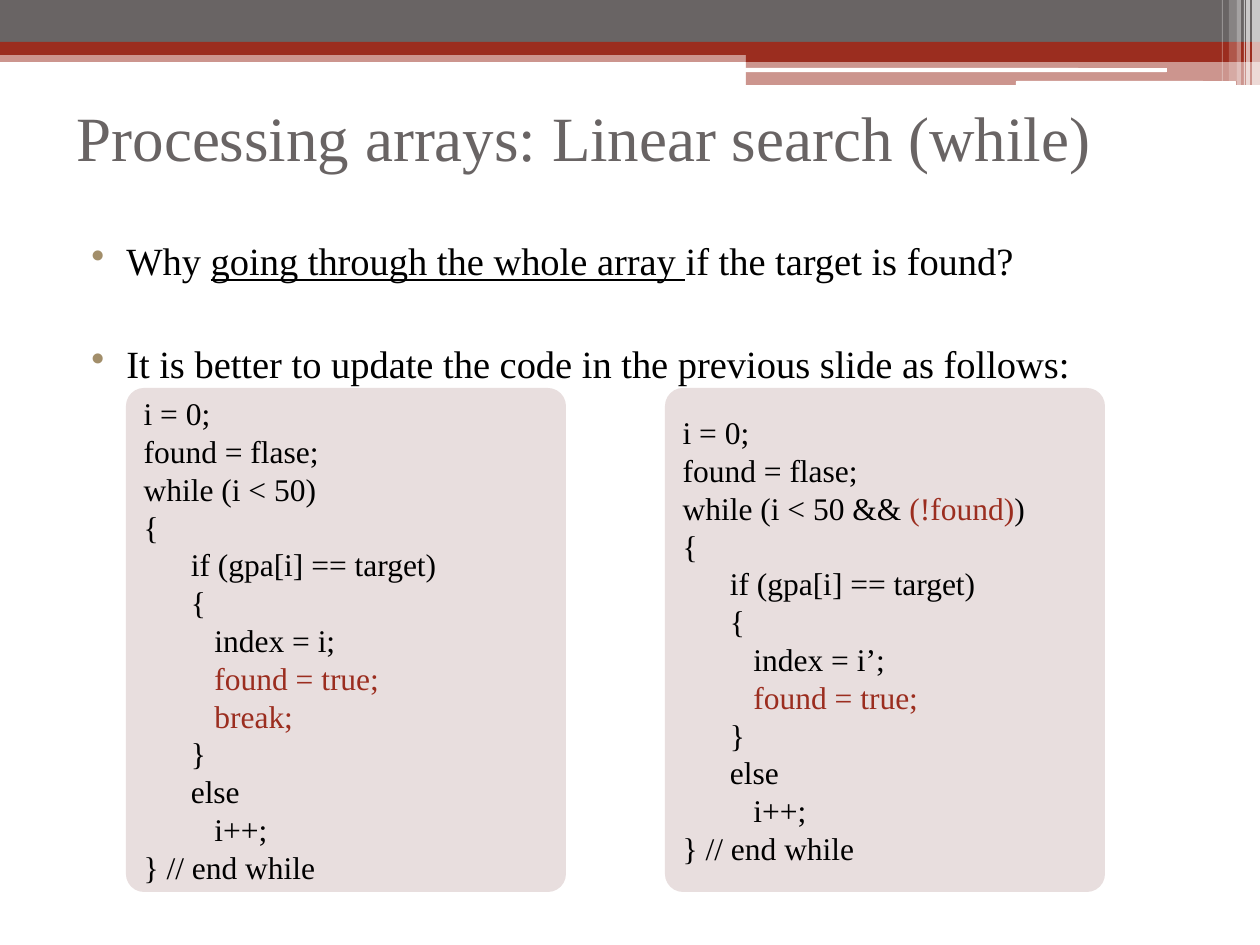
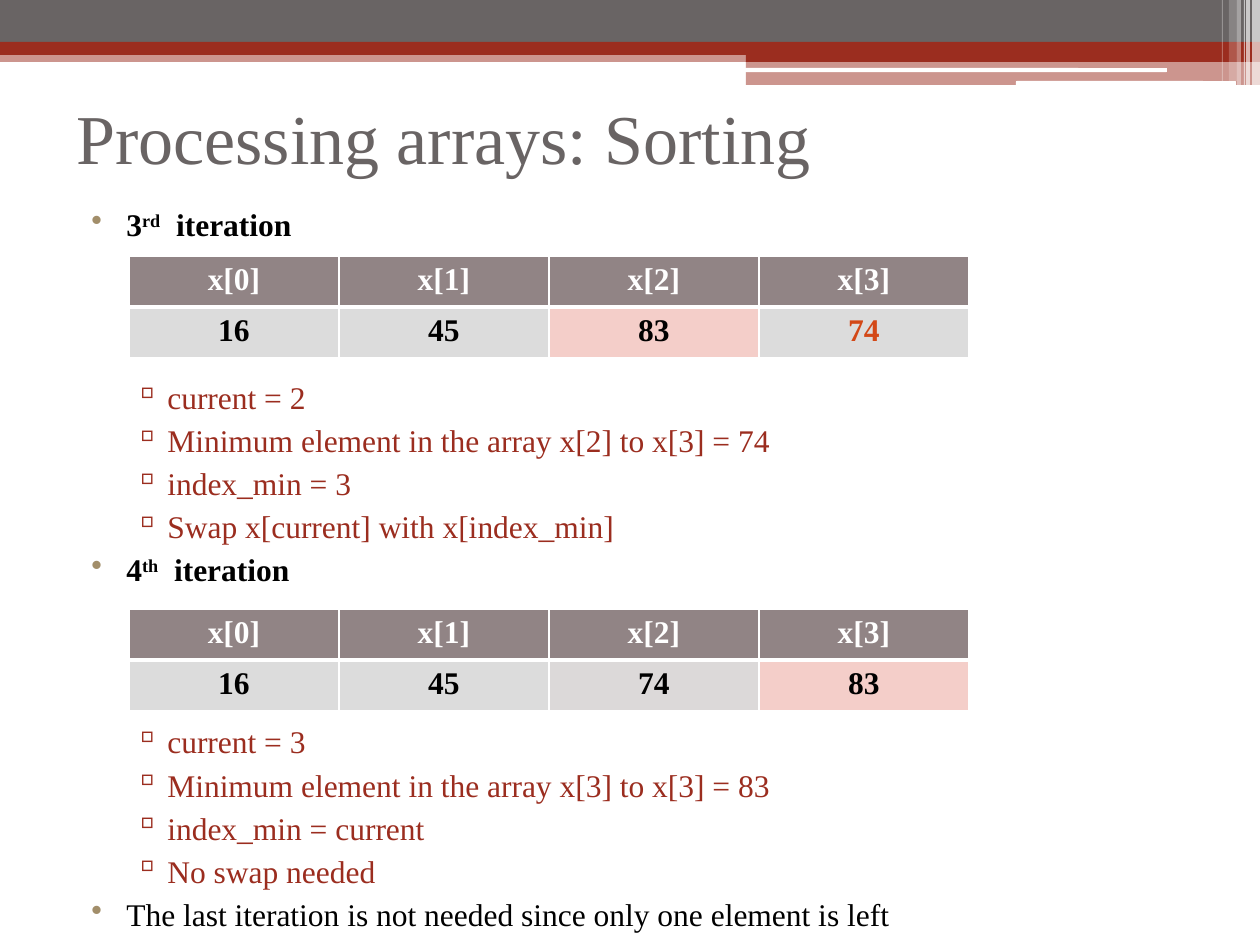
from lxml import etree
from pptx import Presentation
from pptx.dml.color import RGBColor
from pptx.enum.shapes import MSO_SHAPE
from pptx.enum.text import MSO_ANCHOR, MSO_AUTO_SIZE, PP_ALIGN
from pptx.oxml.ns import qn
from pptx.util import Pt

RECT, ROUNDED = MSO_SHAPE.RECTANGLE, MSO_SHAPE.ROUNDED_RECTANGLE
LEFT, CENTER = PP_ALIGN.LEFT, PP_ALIGN.CENTER
MIDDLE, NO_FIT = MSO_ANCHOR.MIDDLE, MSO_AUTO_SIZE.NONE
TITLE_ONLY = 5
SCALE = 914400 / 126
FONT = "Times New Roman"
COLORS = {
    "red": "9B2D1F", "gray": "696464", "white": "FFFFFF", "black": "000000",
    "tan": "A28E6A", "code": "E8DEDE", "header": "918485", "cell": "DCDCDC",
    "cell_warm": "DCD9D9", "current": "F4CEC9", "minimum": "D34817",
}

BANDS = [
    (RECT, 0, 50, 1260, 12, "red", 50),
    (RECT, 0, 0, 1260, 43, "gray", 100),
    (RECT, 0, 42, 1260, 13, "red", 100),
    (RECT, 746, 49, 514, 13, "red", 100),
    (RECT, 746, 61, 514, 24, "red", 50),
    (ROUNDED, 745, 68, 422, 4, "white", 100),
    (ROUNDED, 1016, 81, 220, 5, "white", 100),
    (RECT, 1252, 0, 8, 85, "white", 65),
    (RECT, 1246, 0, 4, 85, "white", 65),
    (RECT, 1244, 0, 1, 85, "white", 60),
    (RECT, 1237, 0, 4, 85, "white", 40),
    (RECT, 1229, 0, 8, 81, "white", 20),
    (RECT, 1222, 0, 1, 81, "white", 30),
]
BULLETS = {0: ("•", "tan", 50, -35), 1: ("▫", "red", 91, -34)}

CODE_START = ["i = 0;", "found = flase;"]
CODE_TEST = ["{", "      if (gpa[i] == target)", "      {"]
CODE_END = ["      }", "      else", "         i++;", "} // end while"]
FOUND = [("         found = true;", "red")]
BREAK_CODE = [
    *CODE_START, "while (i < 50)", *CODE_TEST, "         index = i;", FOUND,
    [("         break;", "red")], *CODE_END,
]
FLAG_CODE = [
    *CODE_START, [("while (i < 50 && ", ""), ("(!found)", "red"), (")", "")],
    *CODE_TEST, "         index = i’;", FOUND, *CODE_END,
]


def px(length):
    return round(length * SCALE)


def place(box):
    return [px(length) for length in box]


def rgb(name):
    return RGBColor.from_string(COLORS[name])


def set_font(font, size, color, bold=False):
    font.name, font.size, font.bold = FONT, Pt(size), bold
    font.color.rgb = rgb(color)


def write(para, content, size, color="black", bold=False, align=LEFT):
    para.alignment = align
    set_font(para.font, size, color, bold)
    pieces = [(content, "")] if isinstance(content, str) else content
    for text, look in pieces:
        span = para.add_run()
        span.text = text
        if look == "red":
            span.font.color.rgb = rgb("red")
        elif look == "underline":
            span.font.underline = True
        elif look == "super":
            span._r.get_or_add_rPr().set("baseline", "30000")


def add_block(page, kind, box, color, opacity=100, corner=0.167):
    block = page.shapes.add_shape(kind, *place(box))
    block.shadow.inherit = False
    block.fill.solid()
    block.fill.fore_color.rgb = rgb(color)
    block.line.fill.background()
    if kind == ROUNDED:
        block.adjustments[0] = corner
    if opacity < 100:
        paint = block.element.spPr.find(".//" + qn("a:srgbClr"))
        etree.SubElement(paint, qn("a:alpha"), val=str(opacity * 1000))
    return block


def add_page(deck, title, size):
    page = deck.slides.add_slide(deck.slide_layouts[TITLE_ONLY])
    for kind, left, top, width, height, color, opacity in BANDS:
        add_block(page, kind, (left, top, width, height), color, opacity)
    heading = page.shapes.title
    heading.left, heading.top, heading.width, heading.height = place((64, 63, 1134, 147))
    frame = heading.text_frame
    frame.auto_size, frame.vertical_anchor = NO_FIT, MIDDLE
    write(frame.paragraphs[0], title, size, "gray")
    return page


def set_bullet(para, level):
    mark, color, margin, indent = BULLETS[level]
    props = para._p.get_or_add_pPr()
    props.set("marL", str(px(margin)))
    props.set("indent", str(px(indent)))
    paint = etree.SubElement(props, qn("a:buClr"))
    etree.SubElement(paint, qn("a:srgbClr"), val=COLORS[color])
    etree.SubElement(props, qn("a:buChar"), char=mark)


def add_bullets(page, box, items, size):
    frame = page.shapes.add_textbox(*place(box)).text_frame
    frame.word_wrap = True
    for index, (level, content, gap, bold) in enumerate(items):
        para = frame.add_paragraph() if index else frame.paragraphs[0]
        para.level = level
        set_bullet(para, level)
        if index:
            para.space_before = Pt(gap)
        write(para, content, size, "red" if level else "black", bold)


def add_code(page, box, lines):
    frame = add_block(page, ROUNDED, box, "code", corner=0.041).text_frame
    frame.word_wrap, frame.vertical_anchor = True, MIDDLE
    for index, line in enumerate(lines):
        para = frame.add_paragraph() if index else frame.paragraphs[0]
        write(para, line, 18)


def set_borders(cell, top, bottom):
    props = cell._tc.get_or_add_tcPr()
    for side, width in (("L", 1), ("R", 1), ("T", top), ("B", bottom)):
        line = etree.SubElement(props, qn("a:ln" + side), w=str(Pt(width)))
        fill = etree.SubElement(line, qn("a:solidFill"))
        etree.SubElement(fill, qn("a:srgbClr"), val=COLORS["white"])


def add_array(page, box, values):
    table = page.shapes.add_table(2, len(values), *place(box)).table
    table.horz_banding = False
    for column, (value, fill, color) in enumerate(values):
        cells = [(f"x[{column}]", "header", "white", 1, 3), (value, fill, color, 3, 1)]
        for row, (text, back, ink, top, bottom) in enumerate(cells):
            cell = table.cell(row, column)
            set_borders(cell, top, bottom)
            cell.fill.solid()
            cell.fill.fore_color.rgb = rgb(back)
            write(cell.text_frame.paragraphs[0], text, 18, ink, True, CENTER)


def iteration(number, suffix, steps):
    heading = [(number, ""), (suffix, "super"), ("  iteration", "")]
    return [(0, heading, 3, True)] + [
        (1, step, 3 if index else 77, False) for index, step in enumerate(steps)
    ]


def build_search(deck):
    page = add_page(deck, "Processing arrays: Linear search (while)", 36)
    question = [
        ("Why ", ""), ("going through the whole array ", "underline"),
        ("if the target is found?", ""),
    ]
    advice = "It is better to update the code in the previous slide as follows:"
    add_bullets(page, (64, 231, 1134, 651),
                [(0, question, 0, False), (0, advice, 32.5, False)], 22)
    for left, lines in ((126, BREAK_CODE), (665, FLAG_CODE)):
        add_code(page, (left, 388, 440, 504), lines)


def build_sorting(deck):
    page = add_page(deck, "Processing arrays: Sorting", 40)
    third = iteration("3", "rd", [
        "current = 2", "Minimum element in the array x[2] to x[3] = 74",
        "index_min = 3", "Swap x[current] with x[index_min]",
    ])
    fourth = iteration("4", "th", [
        "current = 3", "Minimum element in the array x[3] to x[3] = 83",
        "index_min = current", "No swap needed",
    ])
    closing = (0, "The last iteration is not needed since only one element is left", 3, False)
    add_bullets(page, (64, 199, 1134, 683), third + fourth + [closing], 18)
    sorted_part = [("16", "cell", "black"), ("45", "cell", "black")]
    arrays = [
        (256, [("83", "current", "black"), ("74", "cell", "minimum")]),
        (609, [("74", "cell_warm", "black"), ("83", "current", "black")]),
    ]
    for top, rest in arrays:
        add_array(page, (129, top, 840, 102), sorted_part + rest)


def main():
    deck = Presentation()
    deck.slide_width, deck.slide_height = px(1260), px(945)
    build_search(deck)
    build_sorting(deck)
    deck.save("out.pptx")


if __name__ == "__main__":
    main()
